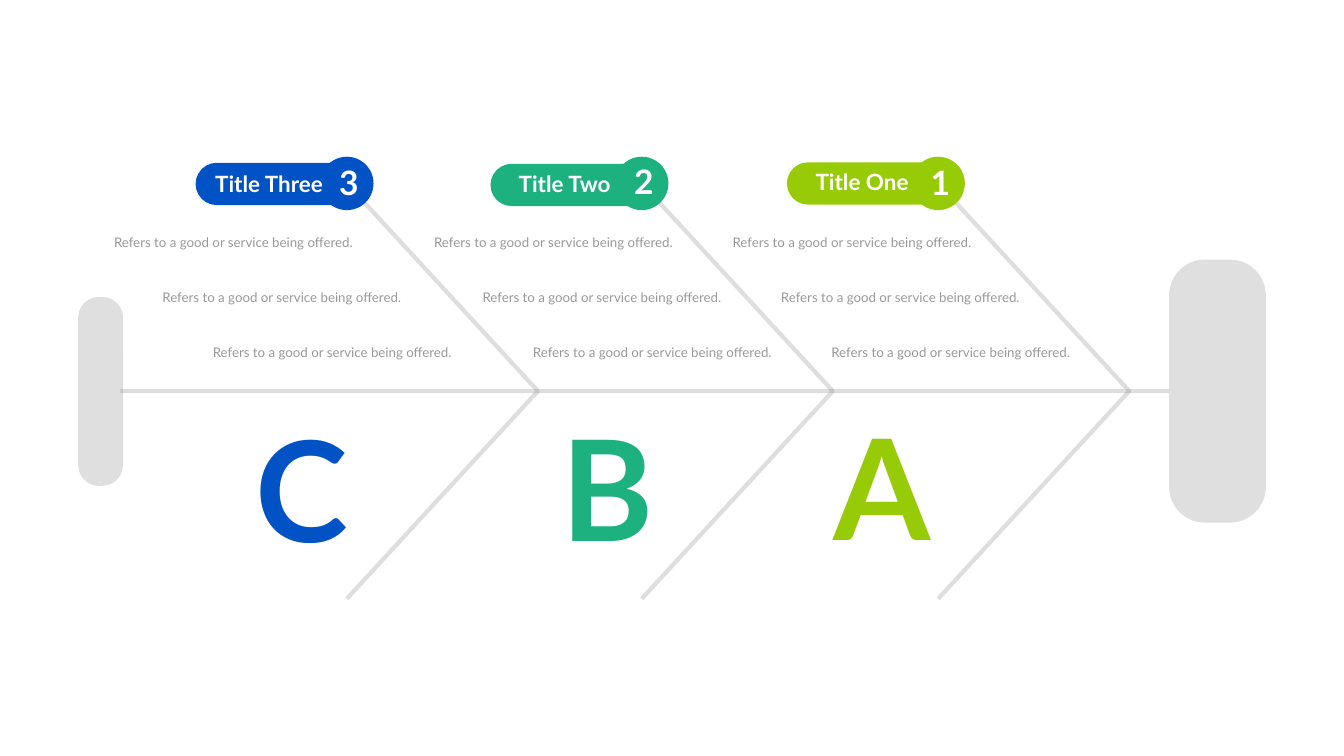
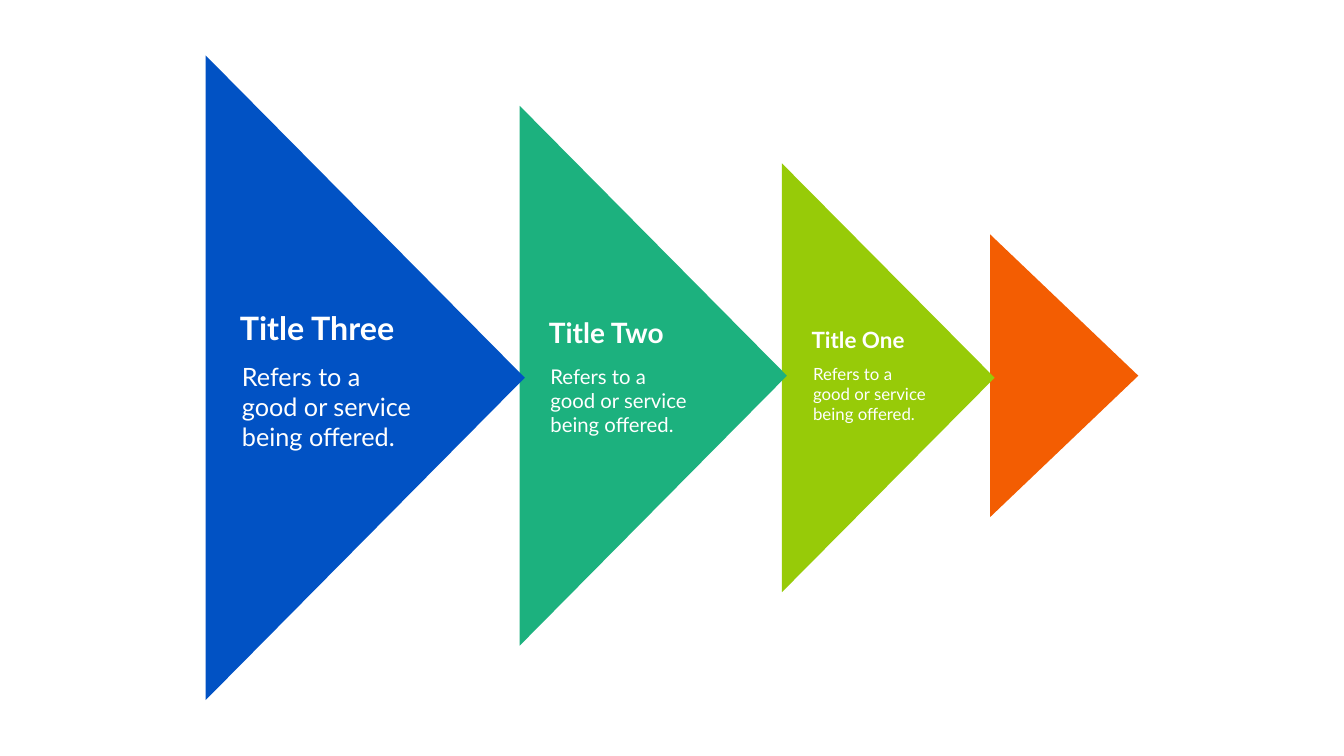
"""Build a fishbone diagram slide and a shrinking triangles slide."""
import dataclasses

import lxml.etree
import pptx
import pptx.dml.color
import pptx.enum.shapes
import pptx.enum.text
import pptx.oxml.ns
import pptx.util

Inches = pptx.util.Inches
Shapes = pptx.enum.shapes.MSO_SHAPE
Align = pptx.enum.text.PP_ALIGN
DESCRIPTION = "Refers to a good or service being offered."


@dataclasses.dataclass(frozen=True)
class Theme:
    """Colours, font and type sizes shared by the slides."""
    font: str = "Lato"
    blue: str = "0152C4"
    green: str = "1CB17E"
    lime: str = "97CB08"
    orange: str = "F35D02"
    white: str = "FFFFFF"
    text_grey: str = "999999"
    bone_grey: str = "808080"
    bone_opacity: int = 25
    bone_width: float = 6
    pill_size: float = 32
    number_size: float = 48
    cause_size: float = 19
    letter_size: float = 200


THEME = Theme()


@dataclasses.dataclass(frozen=True)
class Box:
    """A rectangle in inches."""
    left: float
    top: float
    width: float
    height: float

    def inside(self, left, top, width, height):
        """Return a box offset from this box's corner."""
        return Box(self.left + left, self.top + top, width, height)

    def lengths(self):
        """Return the rectangle as lengths."""
        return [Inches(value) for value in dataclasses.astuple(self)]


@dataclasses.dataclass(frozen=True)
class Rib:
    """Content of one fishbone rib and the box offsets of its texts."""
    title: str
    number: str
    letter: str
    color: str
    box: Box
    pill_top: float
    title_box: tuple
    number_top: float
    causes_left: float
    letter_corner: tuple


@dataclasses.dataclass(frozen=True)
class Stage:
    """Content of one triangle and the box offsets of its texts."""
    color: str
    box: Box
    title: str = ""
    title_size: float = 0
    title_box: tuple = ()
    body_size: float = 0
    body_box: tuple = ()


def set_color(color_holder, color, opacity=100):
    """Make a fill solid with the given colour and opacity in percent."""
    color_holder.solid()
    color_holder.fore_color.rgb = pptx.dml.color.RGBColor.from_string(color)
    if opacity < 100:
        element = color_holder.fore_color._xFill.find(pptx.oxml.ns.qn("a:srgbClr"))
        alpha = lxml.etree.SubElement(element, pptx.oxml.ns.qn("a:alpha"))
        alpha.set("val", str(opacity * 1000))


def style_bone(line):
    """Give a line the translucent bone style."""
    line.width = pptx.util.Pt(THEME.bone_width)
    set_color(line.fill, THEME.bone_grey, THEME.bone_opacity)


def add_solid(slide, kind, box, color, opacity=100):
    """Add an outline-free preset shape."""
    shape = slide.shapes.add_shape(kind, *box.lengths())
    shape.shadow.inherit = False
    shape.line.fill.background()
    set_color(shape.fill, color, opacity)
    return shape


def add_outline(slide, points, close):
    """Add a freeform through points given in inches."""
    vertices = [(Inches(x), Inches(y)) for x, y in points]
    builder = slide.shapes.build_freeform(*vertices[0])
    builder.add_line_segments(vertices[1:], close=close)
    shape = builder.convert_to_shape()
    shape.shadow.inherit = False
    return shape


def add_text(slide, box, text, size, color, bold=False, alignment=Align.LEFT):
    """Add a one-paragraph text box."""
    text_frame = slide.shapes.add_textbox(*box.lengths()).text_frame
    text_frame.word_wrap = True
    text_frame.auto_size = pptx.enum.text.MSO_AUTO_SIZE.SHAPE_TO_FIT_TEXT
    text_frame.text = text
    paragraph = text_frame.paragraphs[0]
    paragraph.alignment = alignment
    font = paragraph.runs[0].font
    font.name = THEME.font
    font.size = pptx.util.Pt(size)
    font.bold = bold
    font.color.rgb = pptx.dml.color.RGBColor.from_string(color)


def add_backbone(slide, box):
    """Draw the spine, tail and head across the box."""
    middle = box.top + box.height / 2
    tail = box.inside(0, 0.74, 0.89, 3.75)
    head = box.inside(box.width - 1.92, 0, 1.92, box.height)
    spine = slide.shapes.add_connector(
        pptx.enum.shapes.MSO_CONNECTOR.STRAIGHT,
        Inches(tail.left + 0.84), Inches(middle), Inches(head.left), Inches(middle))
    style_bone(spine.line)
    properties = spine._element.spPr
    lxml.etree.SubElement(properties, pptx.oxml.ns.qn("a:effectLst"))
    for end, roundness in ((tail, 0.46), (head, 0.37)):
        shape = add_solid(slide, Shapes.ROUNDED_RECTANGLE, end,
                          THEME.bone_grey, THEME.bone_opacity)
        shape.adjustments[0] = roundness


def add_rib(slide, rib):
    """Draw one rib with its label, causes and letter."""
    box = rib.box
    pill = add_solid(slide, Shapes.ROUNDED_RECTANGLE,
                     box.inside(-3, rib.pill_top, 3.14, 0.84), rib.color)
    pill.adjustments[0] = 0.5
    bend = (box.left + box.width, box.top + box.height / 2)
    bone = add_outline(slide, [(box.left, box.top), bend,
                               (box.left, box.top + box.height)], close=False)
    bone.fill.background()
    style_bone(bone.line)
    add_solid(slide, Shapes.OVAL, box.inside(-0.53, -0.53, 1.06, 1.06), rib.color)
    add_text(slide, box.inside(-0.25, rib.number_top, 0.78, 0.91), rib.number,
             THEME.number_size, THEME.white, bold=True)
    add_text(slide, box.inside(*rib.title_box, 0.64), rib.title,
             THEME.pill_size, THEME.white, bold=True)
    for row, shift in enumerate((0, 0.96, 1.96)):
        cause = box.inside(rib.causes_left + shift, 0.95 + 1.1 * row, 6.1, 0.42)
        add_text(slide, cause, DESCRIPTION, THEME.cause_size, THEME.text_grey,
                 alignment=Align.CENTER)
    add_text(slide, box.inside(*rib.letter_corner, 2.42, 3.47), rib.letter,
             THEME.letter_size, rib.color, bold=True)


def add_stage(slide, stage):
    """Draw one right-pointing triangle with its text."""
    box = stage.box
    triangle = add_outline(slide, [
        (box.left, box.top), (box.left, box.top + box.height),
        (box.left + box.width, box.top + box.height / 2)], close=True)
    triangle.line.fill.background()
    set_color(triangle.fill, stage.color)
    if stage.title:
        add_text(slide, box.inside(*stage.title_box), stage.title,
                 stage.title_size, THEME.white, bold=True)
        add_text(slide, box.inside(*stage.body_box), DESCRIPTION,
                 stage.body_size, THEME.white)


def build_fishbone(slide):
    """Build the fishbone diagram."""
    add_backbone(slide, Box(1.55, 5.15, 23.56, 5.22))
    ribs = [
        Rib("Title Three", "3", "C", THEME.blue, Box(6.88, 3.64, 3.79, 8.24),
            -0.41, (-2.71, -0.31, 2.42), -0.47, -5.3, (-1.92, 4.3)),
        Rib("Title Two", "2", "B", THEME.green, Box(12.73, 3.64, 3.79, 8.24),
            -0.39, (-2.54, -0.31, 2.15), -0.49, -4.8, (-1.69, 4.28)),
        Rib("Title One", "1", "A", THEME.lime, Box(18.61, 3.64, 3.79, 8.24),
            -0.42, (-2.53, -0.36, 2.08), -0.47, -4.76, (-2.17, 4.26)),
    ]
    for rib in ribs:
        add_rib(slide, rib)


def build_triangles(slide):
    """Build the row of shrinking triangles, back to front."""
    stages = [
        Stage(THEME.orange, Box(19.64, 4.65, 2.94, 5.61)),
        Stage(THEME.lime, Box(15.51, 3.24, 4.22, 8.51), "Title One",
              32, (0.49, 3.19, 2.08, 0.64), 24, (0.52, 3.93, 2.52, 1.31)),
        Stage(THEME.green, Box(10.31, 2.1, 5.3, 10.71), "Title Two",
              40, (0.48, 4.11, 2.58, 0.77), 29, (0.51, 5.07, 2.92, 1.57)),
        Stage(THEME.blue, Box(4.08, 1.1, 6.33, 12.79), "Title Three",
              46, (0.58, 4.97, 3.36, 0.88), 36, (0.62, 6.01, 3.71, 1.92)),
    ]
    for stage in stages:
        add_stage(slide, stage)


def main():
    """Create and save the presentation."""
    presentation = pptx.Presentation()
    presentation.slide_width = Inches(26.66)
    presentation.slide_height = Inches(15)
    blank_layout = presentation.slide_layouts[6]
    for build in (build_fishbone, build_triangles):
        build(presentation.slides.add_slide(blank_layout))
    presentation.save("out.pptx")


if __name__ == "__main__":
    main()
